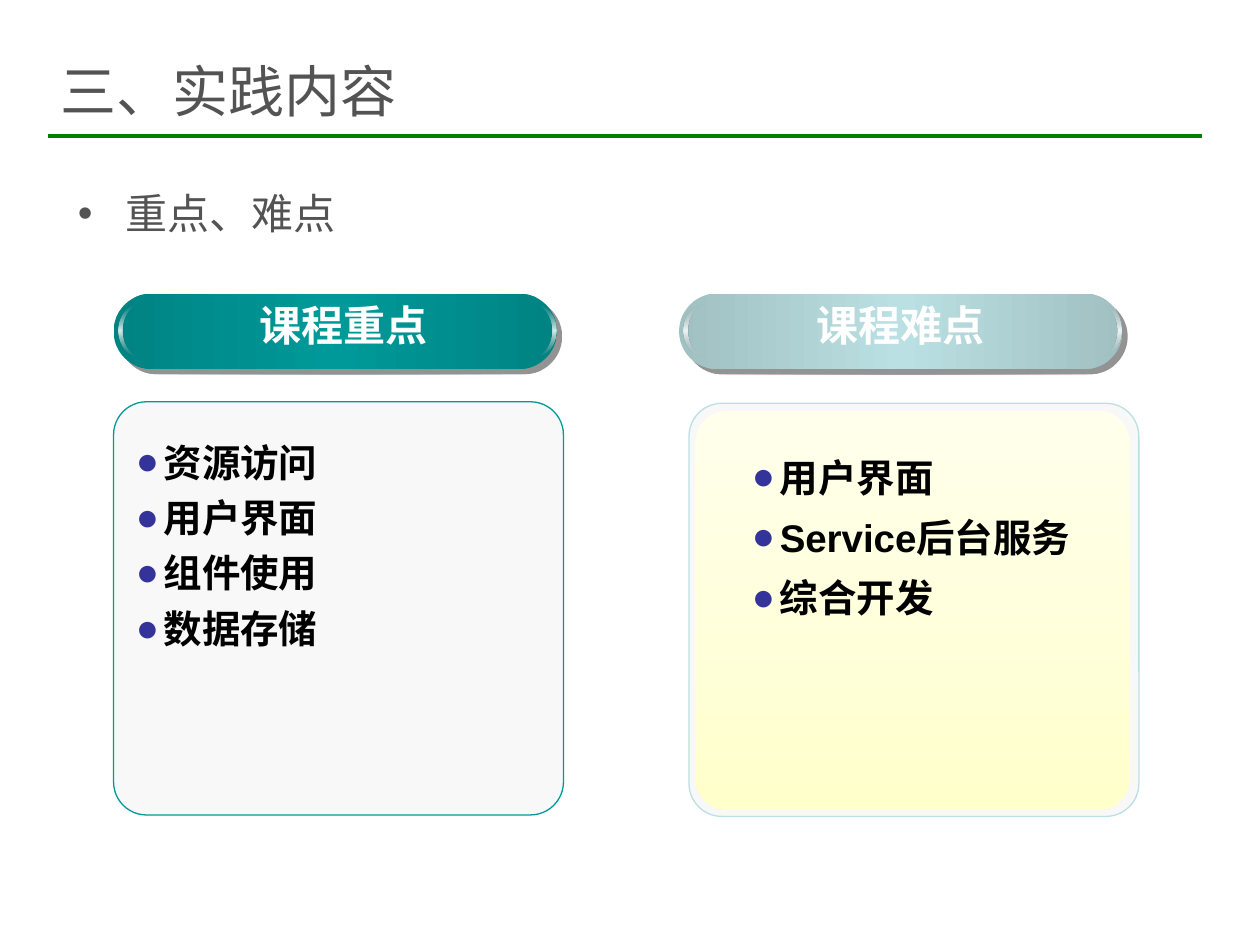
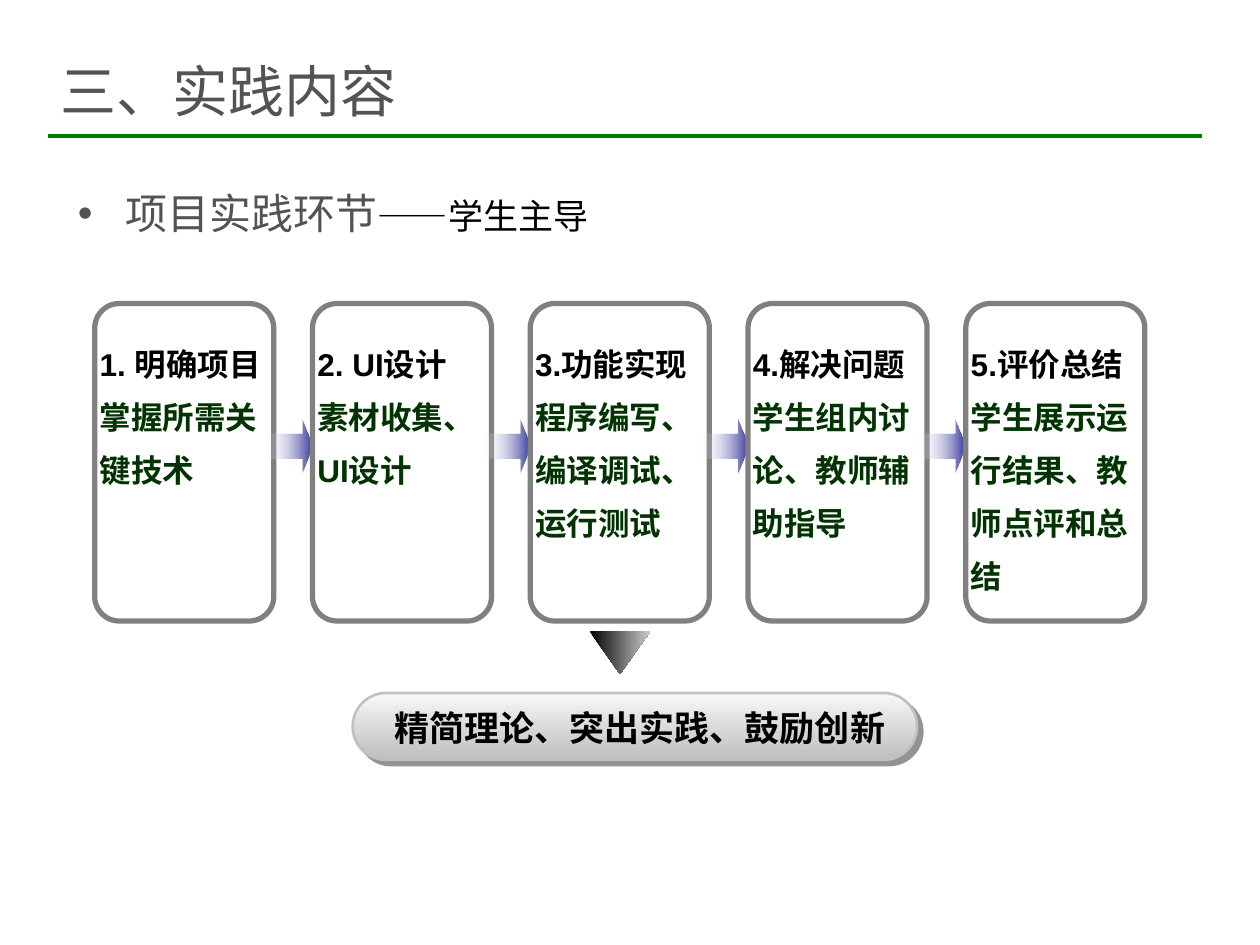
from dataclasses import dataclass

from lxml.etree import SubElement
from pptx import Presentation
from pptx.dml.color import RGBColor
from pptx.enum.shapes import MSO_CONNECTOR as Connector, MSO_SHAPE as Preset
from pptx.enum.text import MSO_ANCHOR as Anchor, PP_ALIGN as Align
from pptx.oxml.ns import qn
from pptx.util import Cm, Pt


@dataclass(frozen=True)
class Theme:
    font: str = "Arial"
    heading_font: str = "Noto Sans CJK SC"
    # Type sizes in points
    title: int = 32
    heading: int = 24
    list_item: int = 22
    remark: int = 20
    step: int = 18
    # Colours
    grey_text: str = "535353"
    black: str = "000000"
    white: str = "FFFFFF"
    step_text: str = "003300"
    rule: str = "008000"
    accent: str = "333399"
    teal: str = "009999"
    teal_dark: str = "008383"
    pale: str = "BBE0E3"
    pale_dark: str = "A0C0C2"
    panel: str = "F8F8F8"
    cream: str = "FFFFEC"
    yellow: str = "FFFFCC"
    shine: str = "B6B6B6"
    frame: str = "808080"
    pill_line: str = "C0C0C0"
    pill_dark: str = "BEBEBE"
    pointer_light: str = "CDCDCD"
    shadow: str = "292929"


THEME = Theme()


@dataclass(frozen=True)
class Box:
    """A rectangle in centimetres."""
    left: float
    top: float
    width: float
    height: float

    def inner_box(self, left, top, width, height):
        return Box(self.left + left, self.top + top, width, height)

    def lengths(self):
        return [Cm(n) for n in (self.left, self.top, self.width, self.height)]


# Shared drawing helpers

def add_color(parent, color, opacity=100):
    node = SubElement(parent, qn("a:srgbClr"), val=color)
    if opacity < 100:
        SubElement(node, qn("a:alpha"), val=str(opacity * 1000))


def add_preset(page, preset, box, adjust, fill=None, line=None, line_width=0.75):
    shape = page.shapes.add_shape(preset, *box.lengths())
    shape.shadow.inherit = False
    for index, value in enumerate(adjust):
        shape.adjustments[index] = value
    if fill:
        shape.fill.solid()
        shape.fill.fore_color.rgb = RGBColor.from_string(fill)
    else:
        shape.fill.background()
    if line:
        shape.line.color.rgb = RGBColor.from_string(line)
        shape.line.width = Pt(line_width)
    else:
        shape.line.fill.background()
    return shape


def set_gradient(shape, stops, downward=False):
    """Fill with evenly spaced (colour, opacity) stops."""
    shape.fill.gradient()
    shape.fill.gradient_angle = 270 if downward else 0
    stop_list = shape._element.spPr.find(".//" + qn("a:gsLst"))
    stop_list.clear()
    for index, (color, opacity) in enumerate(stops):
        position = 100000 * index // (len(stops) - 1)
        stop = SubElement(stop_list, qn("a:gs"), pos=str(position))
        add_color(stop, color, opacity)


def set_shadow(shape):
    effects = shape._element.spPr.find(qn("a:effectLst"))
    shadow = SubElement(effects, qn("a:outerShdw"), blurRad="0",
                        dist=str(Pt(4.2)), dir="2700000", algn="ctr", rotWithShape="0")
    add_color(shadow, THEME.shadow, 50)


def style_run(span, size, color, font=THEME.font, bold=True):
    span.font.size = Pt(size)
    span.font.bold = bold
    span.font.name = font
    span.font.color.rgb = RGBColor.from_string(color)
    SubElement(span._r.get_or_add_rPr(), qn("a:ea"), typeface=THEME.heading_font)


def add_text(page, box, lines, size, colors, font=THEME.font, bold=True,
             align=Align.LEFT, spacing=1.0):
    """Write one paragraph per line; the last colour serves the remaining lines."""
    frame = page.shapes.add_textbox(*box.lengths()).text_frame
    frame.word_wrap = True
    frame.text = "\n".join(lines)
    for index, para in enumerate(frame.paragraphs):
        para.alignment = align
        para.line_spacing = spacing
        color = colors[min(index, len(colors) - 1)]
        style_run(para.runs[0], size, color, font, bold)
    return frame


def set_bullet(para, mark, indent, color=None):
    props = para._p.get_or_add_pPr()
    props.set("marL", str(Cm(indent)))
    props.set("indent", str(-Cm(indent)))
    if color:
        add_color(SubElement(props, qn("a:buClr")), color)
    SubElement(props, qn("a:buFont"), typeface=THEME.font)
    SubElement(props, qn("a:buChar"), char=mark)


# Page frame: title, green rule and bulleted heading

def add_page(deck, heading, remark=None):
    page = deck.slides.add_slide(deck.slide_layouts[6])
    rule = page.shapes.add_connector(Connector.STRAIGHT, Cm(0.97), Cm(2.74),
                                     Cm(24.23), Cm(2.74))
    rule.line.color.rgb = RGBColor.from_string(THEME.rule)
    rule.line.width = Pt(2)
    SubElement(rule._element.spPr, qn("a:effectLst"))

    title = add_text(page, Box(0.97, 0.64, 23.39, 2.34), ["三、实践内容"], THEME.title,
                     [THEME.grey_text], THEME.heading_font, bold=False)
    title.vertical_anchor = Anchor.MIDDLE

    body = add_text(page, Box(1.32, 3.86, 22.73, 1.85), [heading], THEME.heading,
                    [THEME.grey_text], THEME.heading_font, bold=False, spacing=0.8)
    para = body.paragraphs[0]
    set_bullet(para, "•", 0.97)
    if remark:
        span = para.add_run()
        span.text = remark
        style_run(span, THEME.remark, THEME.black, THEME.heading_font, bold=False)
    return page


# Slide 1: glossy headers over list panels

def add_header(page, box, label, label_left, edge, middle):
    pill = add_preset(page, Preset.ROUNDED_RECTANGLE, box, [0.5])
    set_gradient(pill, [(edge, 100), (middle, 100), (edge, 100)])
    set_shadow(pill)
    # Shiny crescents at both ends
    for left, flipped in ((box.width - 0.43, True), (0.1, False)):
        moon = add_preset(page, Preset.MOON, box.inner_box(left, 0.23, 0.41, 1.04), [0.22])
        set_gradient(moon, [(THEME.shine, 0), (THEME.white, 84), (THEME.shine, 0)],
                     downward=True)
        if flipped:
            moon._element.spPr.find(qn("a:xfrm")).set("flipH", "1")
    add_text(page, box.inner_box(label_left, 0, 6.5, 1.27), [label], THEME.heading,
             [THEME.white], align=Align.CENTER)


def add_panel(page, box, line, inlay=False):
    add_preset(page, Preset.ROUNDED_RECTANGLE, box, [0.08], THEME.panel, line)
    if inlay:
        inner = box.inner_box(0.13, 0.15, box.width - 0.31, box.height - 0.28)
        shape = add_preset(page, Preset.ROUNDED_RECTANGLE, inner, [0.08])
        set_gradient(shape, [(THEME.cream, 100), (THEME.yellow, 100)], downward=True)


def add_list(page, box, items, spacing):
    frame = add_text(page, box, items, THEME.list_item, [THEME.black], spacing=spacing)
    for para in frame.paragraphs:
        set_bullet(para, "●", 0.56, THEME.accent)


def build_focus_slide(deck):
    page = add_page(deck, "重点、难点")
    # Key points
    add_header(page, Box(2.29, 5.92, 8.94, 1.52), "课程重点", 1.39,
               THEME.teal_dark, THEME.teal)
    key_panel = Box(2.29, 8.1, 9.07, 8.33)
    add_panel(page, key_panel, THEME.teal)
    add_list(page, key_panel.inner_box(0.2, 0.43, 8.61, 4.72),
             ["资源访问", "用户界面", "组件使用", "数据存储"], 1.2)
    # Difficult points
    add_header(page, Box(13.69, 5.92, 8.94, 1.52), "课程难点", 1.22,
               THEME.pale_dark, THEME.pale)
    hard_panel = Box(13.89, 8.13, 9.07, 8.33)
    add_panel(page, hard_panel, THEME.pale, inlay=True)
    add_list(page, hard_panel.inner_box(1.02, 0.61, 7.09, 3.89),
             ["用户界面", "Service后台服务", "综合开发"], 1.3)


# Slide 2: chain of steps leading to a conclusion

STEPS = [
    ("1. 明确项目", "掌握所需关键技术"),
    ("2. UI设计", "素材收集、UI设计"),
    ("3.功能实现", "程序编写、编译调试、运行测试"),
    ("4.解决问题", "学生组内讨论、教师辅助指导"),
    ("5.评价总结", "学生展示运行结果、教师点评和总结"),
]
STEP_PITCH = 4.39


def add_step(page, box, lines, has_next):
    add_preset(page, Preset.ROUNDED_RECTANGLE, box, [0.137],
               line=THEME.frame, line_width=3)
    add_text(page, box.inner_box(-0.15, 0.41, 3.94, 5.6), lines, THEME.step,
             [THEME.black, THEME.step_text], spacing=1.4)
    if has_next:
        arrow = add_preset(page, Preset.RIGHT_ARROW, box.inner_box(3.4, 2.34, 0.99, 1.07),
                           [0.465, 0.22])
        set_gradient(arrow, [(THEME.white, 0), (THEME.accent, 100)])


def add_conclusion(page, box, text):
    pointer = add_preset(page, Preset.DOWN_ARROW, box.inner_box(4.78, -1.24, 1.22, 0.86),
                         [0.517, 1])
    set_gradient(pointer, [(THEME.black, 100), (THEME.pointer_light, 100)])
    pill = add_preset(page, Preset.ROUNDED_RECTANGLE, box, [0.5],
                      line=THEME.pill_line, line_width=1.5)
    set_gradient(pill, [(THEME.panel, 100), (THEME.pill_dark, 100)], downward=True)
    set_shadow(pill)
    add_text(page, box.inner_box(0.59, 0.15, 11, 1.09), [text], THEME.remark,
             [THEME.black])


def build_practice_slide(deck):
    page = add_page(deck, "项目实践环节", "——学生主导")
    first = Box(1.91, 6.12, 3.61, 6.4)
    for index, lines in enumerate(STEPS):
        box = first.inner_box(index * STEP_PITCH, 0, first.width, first.height)
        add_step(page, box, lines, has_next=index < len(STEPS) - 1)
    add_conclusion(page, Box(7.11, 13.97, 11.38, 1.35), "精简理论、突出实践、鼓励创新")


def main():
    deck = Presentation()
    deck.slide_width, deck.slide_height = Cm(25.4), Cm(19.05)
    build_focus_slide(deck)
    build_practice_slide(deck)
    deck.save("out.pptx")


if __name__ == "__main__":
    main()
